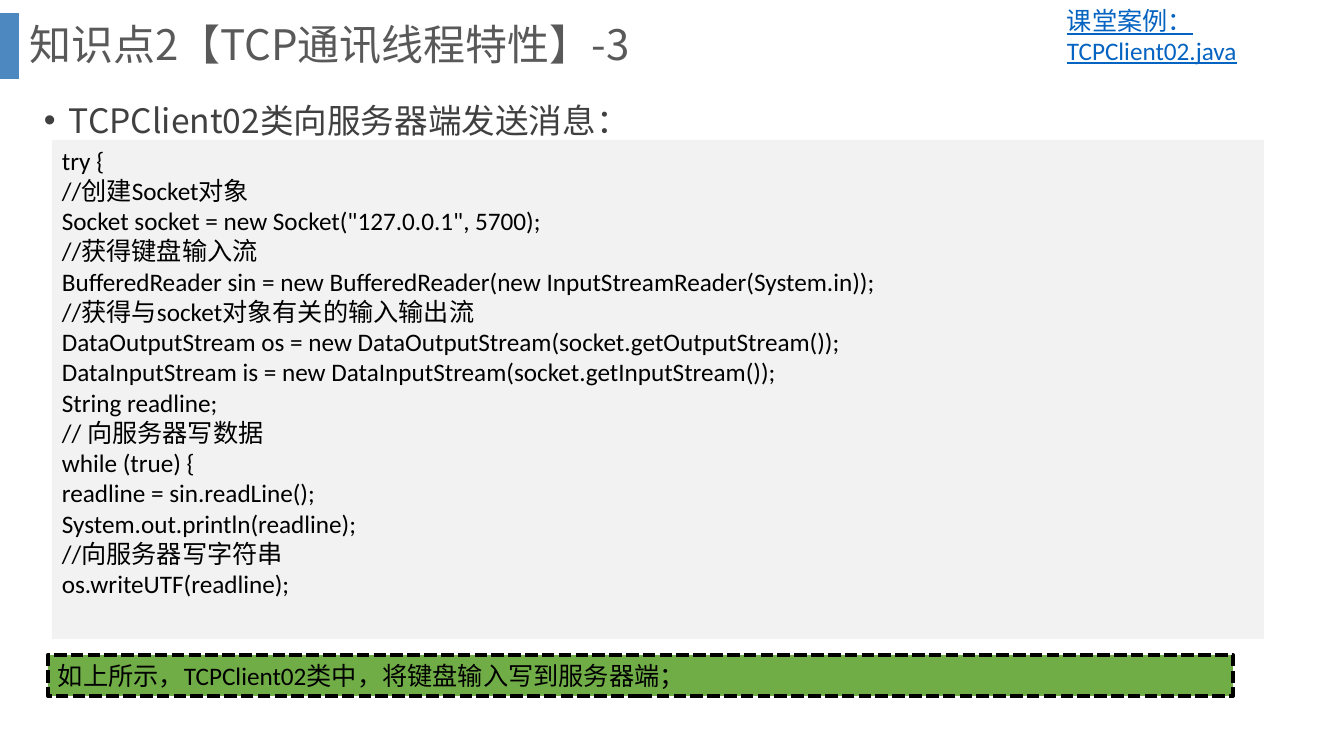
import pptx
import pptx.util
import pptx.dml.color
import pptx.enum.dml
import pptx.enum.shapes
import pptx.enum.text
import pptx.oxml.ns
from lxml import etree

SCALE = 914400 / 100.8
CJK = "Noto Sans CJK SC"
LATIN = "Calibri"
COLORS = {
    "bar": "2E75B6",
    "title": "595959",
    "body": "404040",
    "code": "F2F2F2",
    "note": "70AD47",
    "text": "000000",
    "link": "0563C1",
}
CODE = """try {
//创建Socket对象
Socket socket = new Socket("127.0.0.1", 5700);
//获得键盘输入流
BufferedReader sin = new BufferedReader(new InputStreamReader(System.in));
//获得与socket对象有关的输入输出流
DataOutputStream os = new DataOutputStream(socket.getOutputStream());
DataInputStream is = new DataInputStream(socket.getInputStream());
String readline;
// 向服务器写数据
while (true) {
readline = sin.readLine();
System.out.println(readline);
//向服务器写字符串
os.writeUTF(readline);"""


def px(n):
    return pptx.util.Emu(round(n * SCALE))


def rgb(name):
    return pptx.dml.color.RGBColor.from_string(COLORS[name])


def sub(parent, tag, **attrs):
    return etree.SubElement(parent, pptx.oxml.ns.qn(tag), **attrs)


def write(sp, text, size=18, font=LATIN, color="text", underline=None,
          spacing=None, bullet=None, anchor=pptx.enum.text.MSO_ANCHOR.TOP):
    tf = sp.text_frame
    tf.word_wrap = True
    tf.vertical_anchor = anchor
    for i, line in enumerate(text.split("\n")):
        p = tf.add_paragraph() if i else tf.paragraphs[0]
        if bullet:
            pPr = p._p.get_or_add_pPr()
            pPr.set("marL", str(px(25)))
            pPr.set("indent", str(-px(25)))
            sub(pPr, "a:buFont", typeface="Arial")
            sub(pPr, "a:buChar", char=bullet)
        p.alignment = pptx.enum.text.PP_ALIGN.LEFT
        if spacing:
            p.line_spacing = spacing
        r = p.add_run()
        r.text = line
        r.font.size = pptx.util.Pt(size)
        r.font.name = font
        r.font.underline = underline
        r.font.color.rgb = rgb(color)
        sub(r._r.get_or_add_rPr(), "a:ea", typeface=CJK)


def add_box(s, box, fill):
    sp = s.shapes.add_shape(pptx.enum.shapes.MSO_SHAPE.RECTANGLE, *map(px, box))
    sp.shadow.inherit = False
    sp.fill.solid()
    sp.fill.fore_color.rgb = rgb(fill)
    sp.line.fill.background()
    return sp


def add_header(s, box):
    x, y, w, h = box
    bar = add_box(s, (x, y + 13, 19, 66), "bar")
    color = bar.fill._xPr.find(".//" + pptx.oxml.ns.qn("a:srgbClr"))
    sub(color, "a:alpha", val="85000")
    title = s.shapes.title
    title.left, title.top, title.width, title.height = map(px, (x + 19, y, w - 19, h))
    write(title, "知识点2【TCP通讯线程特性】-3", size=30, font=CJK, color="title",
          spacing=0.9, anchor=pptx.enum.text.MSO_ANCHOR.MIDDLE)


def add_link(s, box):
    sp = s.shapes.add_textbox(*map(px, box))
    write(sp, "课堂案例：TCPClient02.java", color="link", underline=True)


def add_lead(s, box):
    sp = s.shapes.add_textbox(*map(px, box))
    write(sp, "TCPClient02类向服务器端发送消息：", size=24, font=CJK,
          color="body", spacing=1.5, bullet="•")


def add_code(s, box):
    write(add_box(s, box, "code"), CODE)


def add_note(s, box):
    sp = add_box(s, box, "note")
    sp.line.color.rgb = rgb("text")
    sp.line.width = pptx.util.Pt(3)
    sp.line.dash_style = pptx.enum.dml.MSO_LINE.SQUARE_DOT
    write(sp, "如上所示，TCPClient02类中，将键盘输入写到服务器端；")


def main():
    prs = pptx.Presentation()
    prs.slide_width, prs.slide_height = px(1344), px(756)
    s = prs.slides.add_slide(prs.slide_layouts[5])
    add_header(s, (0, 0, 1295, 94))
    add_lead(s, (34, 75, 1215, 80))
    add_code(s, (52, 140, 1212, 499))
    add_note(s, (48, 655, 1185, 41))
    add_link(s, (1057, 0, 230, 72))
    prs.save("out.pptx")


if __name__ == "__main__":
    main()
